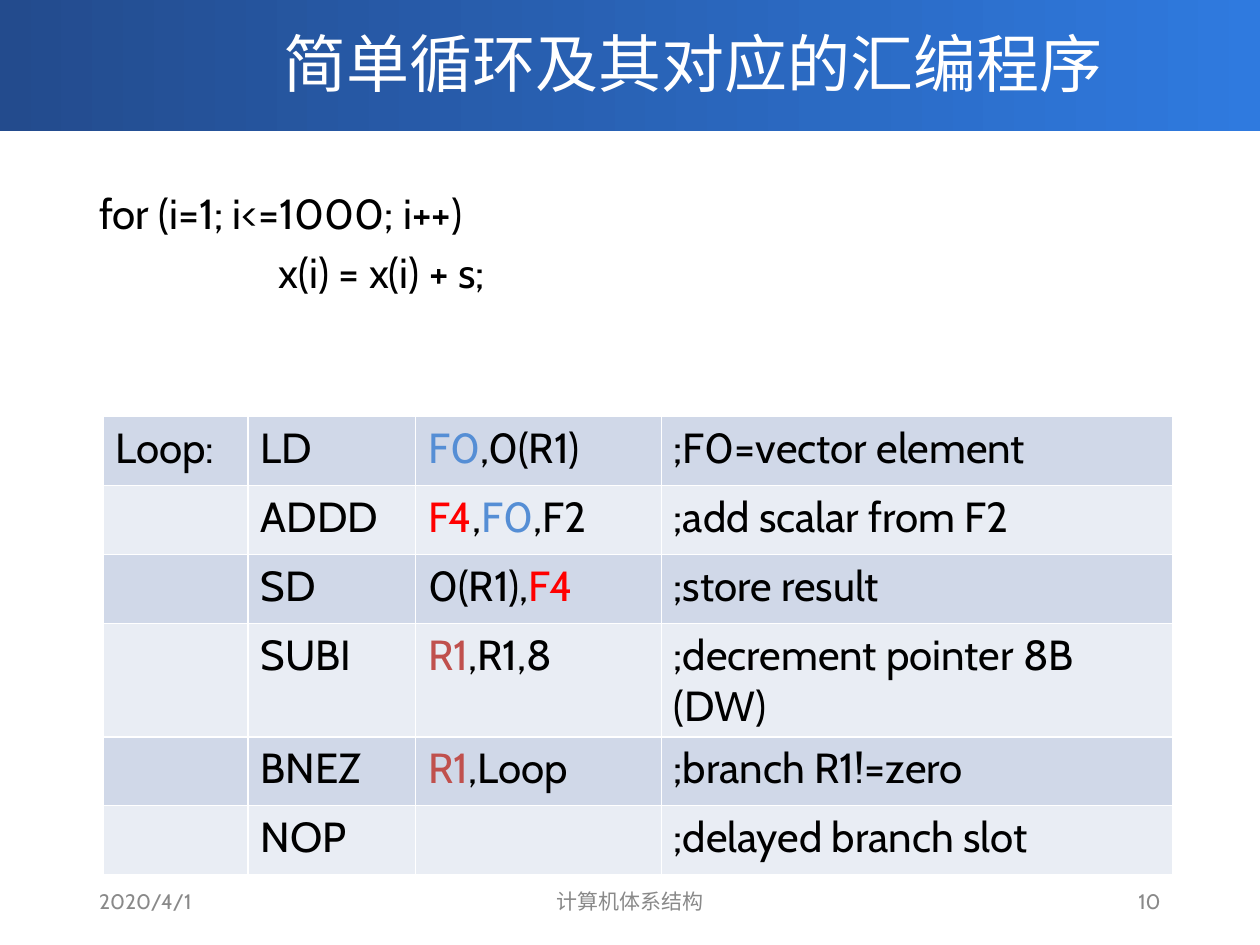
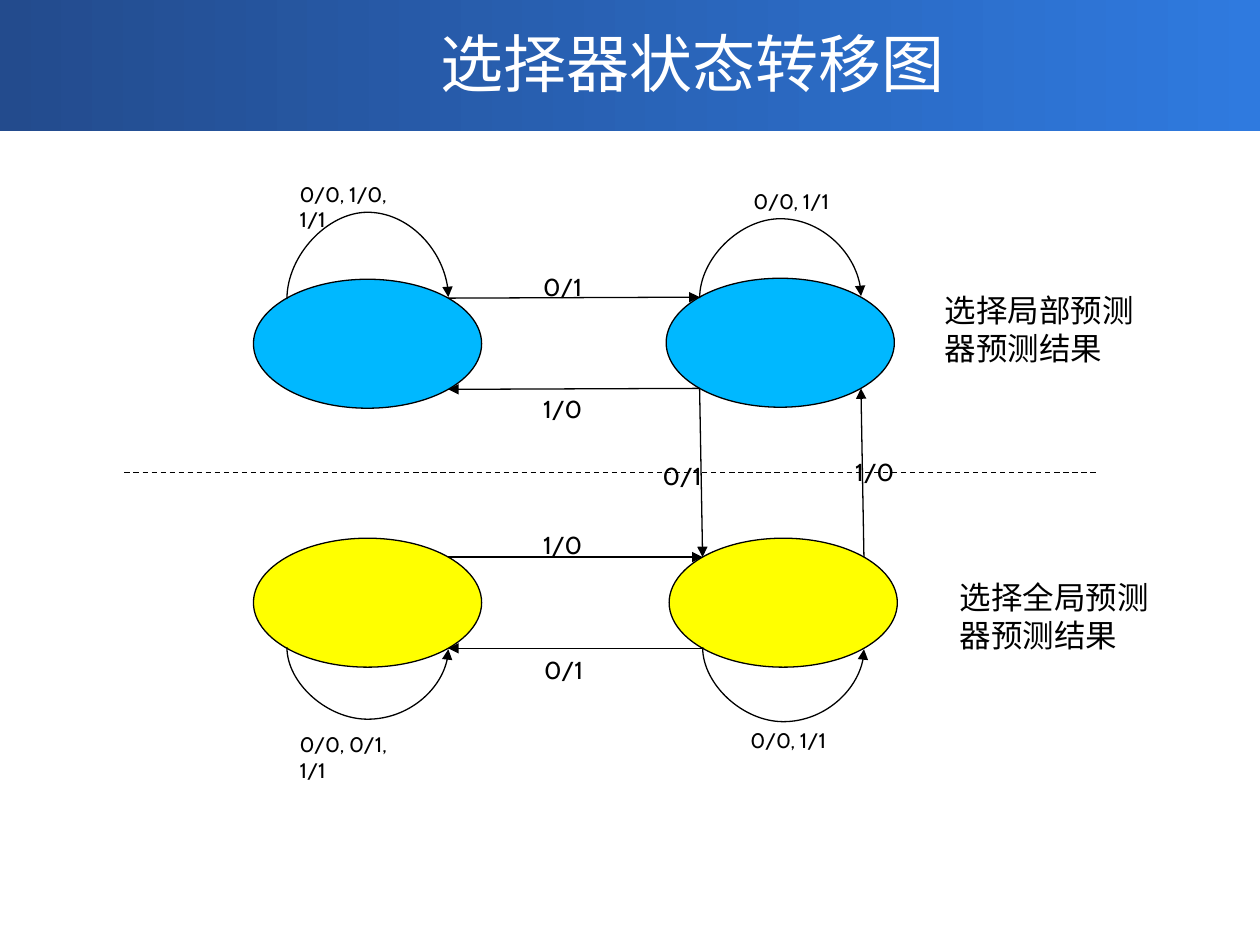
"""Builds two lecture slides: a loop in assembly and a predictor selector state diagram."""
from dataclasses import dataclass
from math import sqrt

from lxml.etree import SubElement
from pptx import Presentation
from pptx.dml.color import RGBColor
from pptx.enum.dml import MSO_LINE
from pptx.enum.shapes import MSO_CONNECTOR, MSO_SHAPE
from pptx.enum.text import MSO_ANCHOR, PP_ALIGN
from pptx.oxml.ns import qn
from pptx.util import Cm, Pt

LEFT, CENTER, RIGHT = PP_ALIGN.LEFT, PP_ALIGN.CENTER, PP_ALIGN.RIGHT
TOP, MIDDLE = MSO_ANCHOR.TOP, MSO_ANCHOR.MIDDLE
STRAIGHT, CURVE = MSO_CONNECTOR.STRAIGHT, MSO_CONNECTOR.CURVE
RECTANGLE, OVAL = MSO_SHAPE.RECTANGLE, MSO_SHAPE.OVAL
DASH = MSO_LINE.DASH


@dataclass(frozen=True)
class Theme:
    latin: str = "Cabin"
    chinese: str = "Noto Sans CJK SC"
    white: str = "FFFFFF"
    black: str = "000000"
    gray: str = "898989"
    band: tuple = ("234B8D", "2F7ADF")
    rows: tuple = ("D0D8E8", "E9EDF4")
    loaded: str = "558ED5"
    added: str = "FF0000"
    pointer: str = "C0504D"
    local: str = "00B8FF"
    overall: str = "FFFF00"
    title_size: int = 36
    code_size: int = 24
    note_size: int = 18
    label_size: int = 14
    small_size: int = 12
    line_width: float = 0.75


THEME = Theme()

LOOP_TITLE = "简单循环及其对应的汇编程序"
LOOP_CODE = ["for (i=1; i<=1000; i++)", "                   x(i) = x(i) + s;"]
FOOTERS = [
    ("2020/4/1", 1.75, 5.72, LEFT),
    ("计算机体系结构", 8.41, 8.58, CENTER),
    ("10", 17.93, 5.72, RIGHT),
]
F0, F4, R1 = ("F0", THEME.loaded), ("F4", THEME.added), ("R1", THEME.pointer)
ASSEMBLY = [
    ("Loop:", "LD", [F0, ",0(R1)"], ";F0=vector element"),
    ("", "ADDD", [F4, ",", F0, ",F2"], ";add scalar from F2"),
    ("", "SD", ["0(R1),", F4], ";store result"),
    ("", "SUBI", [R1, ",R1,8"], ";decrement pointer 8B (DW)"),
    ("", "BNEZ", [R1, ",Loop"], ";branch R1!=zero"),
    ("", "NOP", "", ";delayed branch slot"),
]
COLUMN_WIDTHS = [2.92, 3.38, 4.95, 10.31]
ROW_HEIGHTS = [1.39, 1.39, 1.39, 1.39, 1.52, 1.39, 1.39]

STATE_TITLE = "选择器状态转移图"
STATE_WIDTH, STATE_HEIGHT = 4.6, 2.6
STATES = {
    "local strong": (5.11, 5.63, THEME.local),
    "local weak": (13.43, 5.61, THEME.local),
    "global strong": (5.11, 10.85, THEME.overall),
    "global weak": (13.49, 10.85, THEME.overall),
}
UP, DOWN = -1, 1
WEST, EAST = -1, 1
TRANSITIONS = [
    ("local strong", EAST, UP, "local weak", WEST, UP),
    ("local weak", WEST, DOWN, "local strong", EAST, DOWN),
    ("local weak", WEST, DOWN, "global weak", WEST, UP),
    ("global weak", EAST, UP, "local weak", EAST, DOWN),
    ("global strong", EAST, UP, "global weak", WEST, UP),
    ("global weak", WEST, DOWN, "global strong", EAST, DOWN),
]
SELF_LOOPS = [
    ("local strong", UP, 1.75),
    ("local weak", UP, 1.6),
    ("global strong", DOWN, 1.45),
    ("global weak", DOWN, 1.5),
]
LABELS = [
    ("0/1", 10.7, 5.36, 1.6, THEME.label_size),
    ("1/0", 10.7, 7.82, 1.6, THEME.label_size),
    ("0/1", 13.11, 9.17, 1.37, THEME.label_size),
    ("1/0", 16.99, 9.09, 1.6, THEME.label_size),
    ("1/0", 10.7, 10.57, 1.6, THEME.label_size),
    ("0/1", 10.72, 13.08, 1.6, THEME.label_size),
    ("0/0, 1/0, 1/1", 5.79, 3.53, 2.72, THEME.small_size),
    ("0/0, 1/1", 14.94, 3.68, 2.41, THEME.small_size),
    ("0/0, 0/1, 1/1", 5.79, 14.63, 2.72, THEME.small_size),
    ("0/0, 1/1", 14.88, 14.55, 2.41, THEME.small_size),
    ("选择局部预测器预测结果", 18.8, 5.74, 4.4, THEME.note_size),
    ("选择全局预测器预测结果", 19.1, 11.53, 4.4, THEME.note_size),
]


def color(value):
    return RGBColor.from_string(value)


def style_paragraph(paragraph, size, tone=THEME.black, name=THEME.latin, align=LEFT):
    paragraph.alignment = align
    font = paragraph.font
    font.size, font.name = Pt(size), name
    font.color.rgb = color(tone)
    defaults = paragraph._p.pPr.find(qn("a:defRPr"))
    SubElement(defaults, qn("a:ea"), typeface=THEME.chinese)


def add_text(slide, lines, left, top, width, height, size, anchor=TOP, **style):
    frame = slide.shapes.add_textbox(Cm(left), Cm(top), Cm(width), Cm(height)).text_frame
    frame.word_wrap = True
    frame.vertical_anchor = anchor
    for index, line in enumerate(lines):
        paragraph = frame.add_paragraph() if index else frame.paragraphs[0]
        paragraph.text = line
        if index:
            paragraph.space_before = Pt(size * 0.2)
        style_paragraph(paragraph, size, **style)


def add_slide(presentation, title):
    slide = presentation.slides.add_slide(presentation.slide_layouts[6])
    band = slide.shapes.add_shape(RECTANGLE, 0, 0, presentation.slide_width, Cm(2.64))
    band.shadow.inherit = False
    band.line.fill.background()
    band.fill.gradient()
    band.fill.gradient_angle = 0
    for stop, tone in zip(band.fill.gradient_stops, THEME.band):
        stop.color.rgb = color(tone)
    add_text(slide, [title], 2.54, 0, 22.86, 2.51, THEME.title_size, anchor=MIDDLE,
             tone=THEME.white, name=THEME.chinese, align=CENTER)
    return slide


def add_assembly_table(slide):
    table = slide.shapes.add_table(len(ROW_HEIGHTS), len(COLUMN_WIDTHS), Cm(2.08), Cm(7.01),
                                   Cm(sum(COLUMN_WIDTHS)), Cm(sum(ROW_HEIGHTS))).table
    for column, width in zip(table.columns, COLUMN_WIDTHS):
        column.width = Cm(width)
    for row, height in zip(table.rows, ROW_HEIGHTS):
        row.height = Cm(height)
    for cell in table.rows[0].cells:
        cell.fill.background()
    for index, instruction in enumerate(ASSEMBLY):
        for cell, content in zip(table.rows[index + 1].cells, instruction):
            cell.fill.solid()
            cell.fill.fore_color.rgb = color(THEME.rows[index % 2])
            paragraph = cell.text_frame.paragraphs[0]
            style_paragraph(paragraph, THEME.code_size)
            for part in [content] if isinstance(content, str) else content:
                text, tone = (part, None) if isinstance(part, str) else part
                if text:
                    run = paragraph.add_run()
                    run.text = text
                    if tone:
                        run.font.color.rgb = color(tone)


def add_line(slide, kind, begin, end, arrow=True):
    connector = slide.shapes.add_connector(kind, *(Cm(value) for value in (*begin, *end)))
    connector.line.width = Pt(THEME.line_width)
    connector.line.color.rgb = color(THEME.black)
    properties = connector._element.spPr
    if arrow:
        SubElement(properties.find(qn("a:ln")), qn("a:tailEnd"), type="triangle")
    else:
        connector.line.dash_style = DASH
    SubElement(properties, qn("a:effectLst"))
    return connector


def state_corner(name, side, level):
    left, top, _ = STATES[name]
    reach = 1 / sqrt(2)
    return (left + STATE_WIDTH / 2 * (1 + side * reach),
            top + STATE_HEIGHT / 2 * (1 + level * reach))


def add_self_loop(slide, name, level, rise):
    start, y = state_corner(name, WEST, level)
    finish, _ = state_corner(name, EAST, level)
    middle, half_span, half_depth = (start + finish) / 2, (finish - start) / 2, 0.02
    connector = add_line(slide, CURVE,
                         (middle + half_depth, y - level * half_span),
                         (middle - half_depth, y + level * half_span))
    properties = connector._element.spPr
    quarter_turns = 1 if level == UP else 3
    properties.find(qn("a:xfrm")).set("rot", str(quarter_turns * 5400000))
    adjustments = properties.find(qn("a:prstGeom")).find(qn("a:avLst"))
    bend = round(rise / (2 * half_depth) * 100000)
    SubElement(adjustments, qn("a:gd"), name="adj1", fmla=f"val {bend}")


def build_loop_slide(presentation):
    slide = add_slide(presentation, LOOP_TITLE)
    add_text(slide, LOOP_CODE, 1.75, 3.66, 22.5, 2.92, THEME.code_size)
    add_assembly_table(slide)
    for text, left, width, align in FOOTERS:
        add_text(slide, [text], left, 17.65, width, 1.02, THEME.small_size,
                 anchor=MIDDLE, tone=THEME.gray, align=align)


def build_state_slide(presentation):
    slide = add_slide(presentation, STATE_TITLE)
    for left, top, tone in STATES.values():
        state = slide.shapes.add_shape(OVAL, Cm(left), Cm(top), Cm(STATE_WIDTH), Cm(STATE_HEIGHT))
        state.shadow.inherit = False
        state.fill.solid()
        state.fill.fore_color.rgb = color(tone)
        state.line.color.rgb = color(THEME.black)
        state.line.width = Pt(THEME.line_width)
    for self_loop in SELF_LOOPS:
        add_self_loop(slide, *self_loop)
    for transition in TRANSITIONS:
        add_line(slide, STRAIGHT, state_corner(*transition[:3]), state_corner(*transition[3:]))
    add_line(slide, STRAIGHT, (2.51, 9.53), (22.12, 9.53), arrow=False)
    for text, left, top, width, size in LABELS:
        height = 1.8 if size == THEME.note_size else 0.86
        add_text(slide, [text], left, top, width, height, size)


def main():
    presentation = Presentation()
    presentation.slide_width, presentation.slide_height = Cm(25.4), Cm(19.05)
    build_loop_slide(presentation)
    build_state_slide(presentation)
    presentation.save("out.pptx")


if __name__ == "__main__":
    main()
